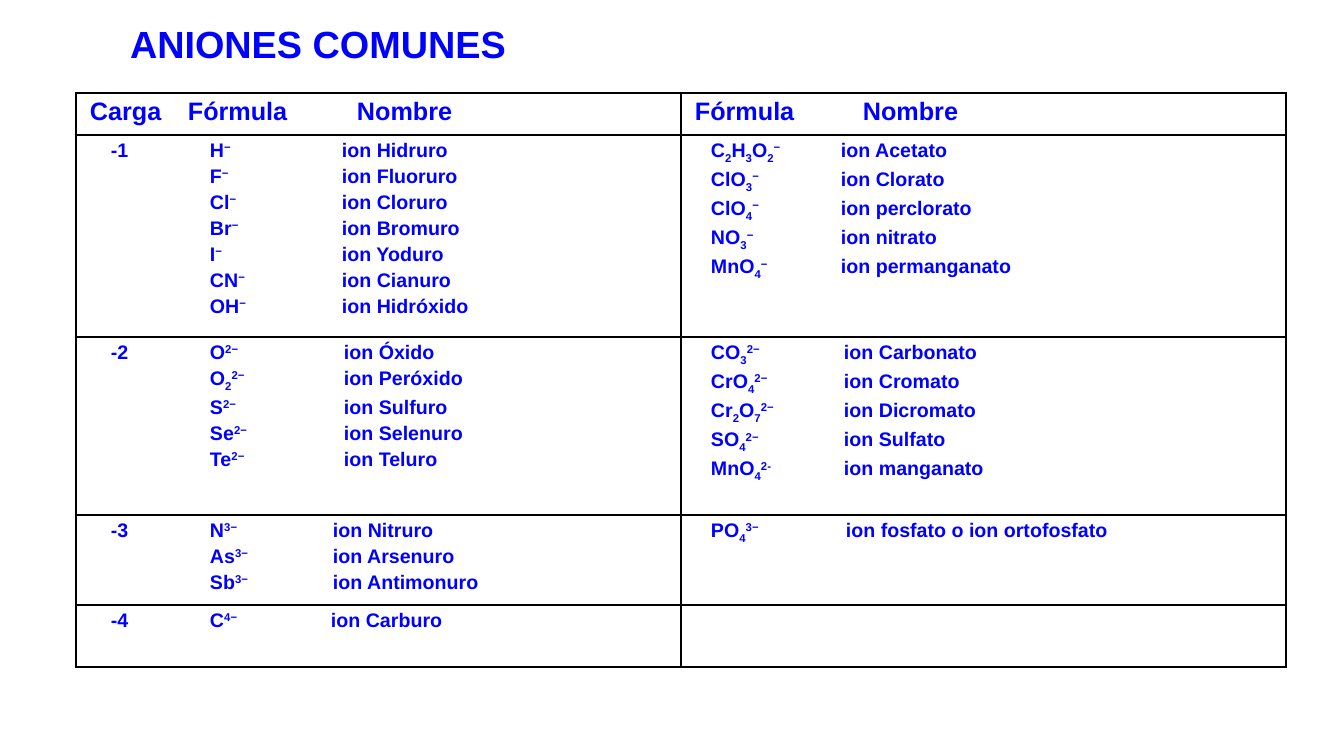
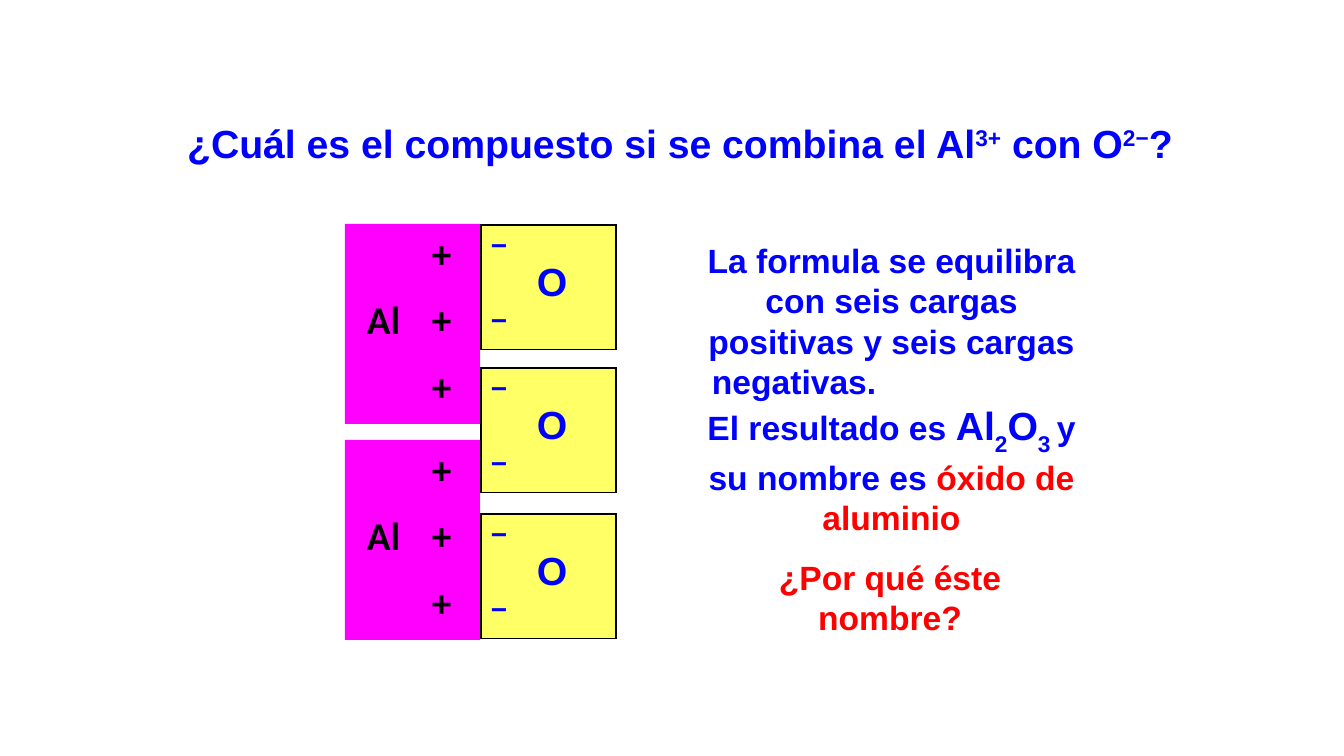
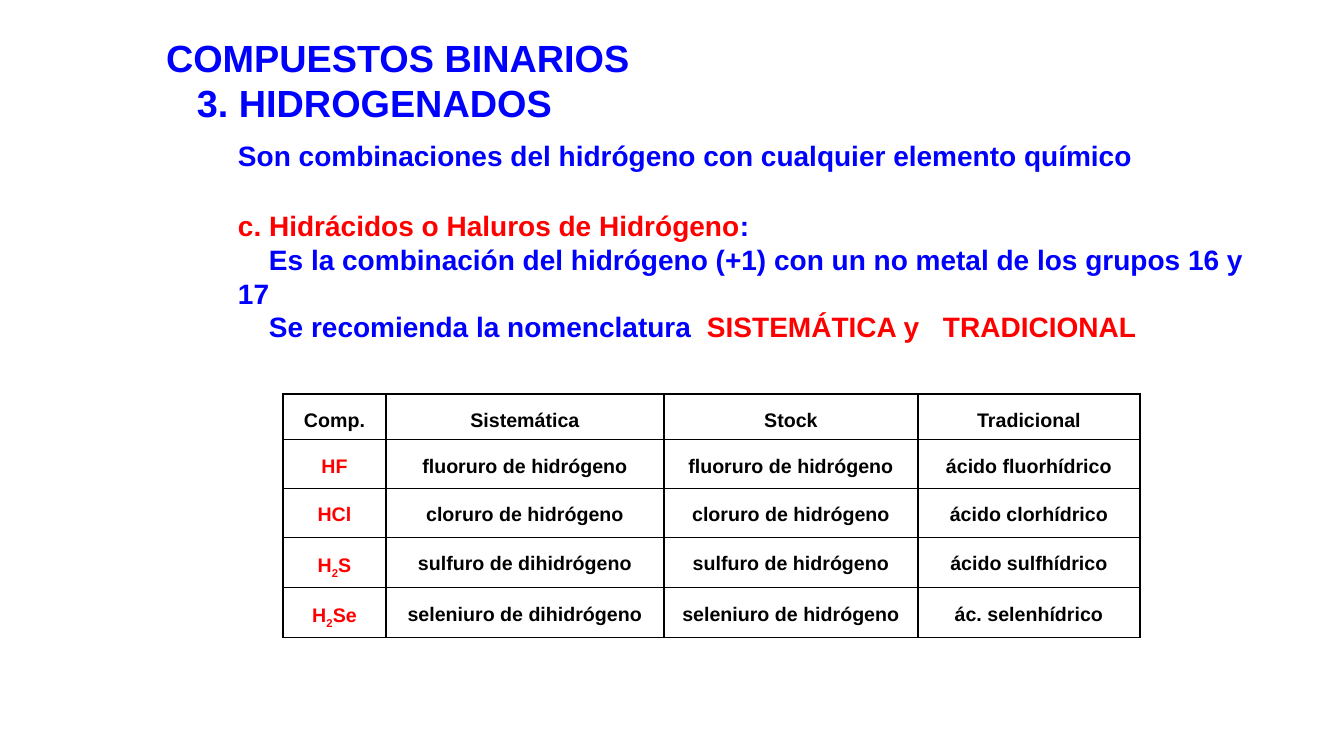
from dataclasses import dataclass

from lxml import etree
from pptx import Presentation
from pptx.dml.color import RGBColor
from pptx.enum.shapes import MSO_SHAPE
from pptx.enum.text import MSO_ANCHOR, PP_ALIGN
from pptx.oxml.ns import qn
from pptx.util import Emu, Pt

RECTANGLE = MSO_SHAPE.RECTANGLE
LEFT, CENTER = PP_ALIGN.LEFT, PP_ALIGN.CENTER
TOP, MIDDLE = MSO_ANCHOR.TOP, MSO_ANCHOR.MIDDLE

EMU_PER_PX = 914400 / 100.8
BLUE, RED, BLACK, WHITE = "0000FF", "FF0000", "000000", "FFFFFF"
MAGENTA, YELLOW = "FF00FF", "FFFF66"
TITLE_SIZE = 27
THIN, THICK = 1, 2.25


@dataclass(frozen=True)
class Run:
    """Text where |_x| is lowered and |^x| is raised."""
    text: str
    size: float = 14
    color: str = BLUE
    font: str = "Arial"
    lowered: int = -25


@dataclass(frozen=True)
class Line:
    """One paragraph; tabs, margin and indent are in px."""
    runs: tuple[Run, ...]
    align: PP_ALIGN = LEFT
    tabs: tuple[int, ...] = ()
    margin: int = 0
    indent: int = 0
    before: float = 0
    spacing: float = 1


@dataclass(frozen=True)
class Box:
    left: int
    top: int
    width: int
    height: int


@dataclass(frozen=True)
class IonGroup:
    """A table row: ions with few atoms left, polyatomic ions right."""
    charge: str
    height: int
    name_tabs: tuple[int, int]
    left: tuple[tuple[str, str], ...]
    right: tuple[tuple[str, str], ...] = ()


# Shared helpers
def px(value: float) -> Emu:
    return Emu(round(value * EMU_PER_PX))


def rgb(value: str) -> RGBColor:
    return RGBColor.from_string(value)


def add_runs(paragraph, run: Run) -> None:
    for piece in run.text.split("|"):
        if not piece:
            continue
        baseline = {"_": run.lowered, "^": 30}.get(piece[0], 0)
        part = paragraph.add_run()
        part.text = piece[1:] if baseline else piece
        part.font.name, part.font.size = run.font, Pt(run.size)
        part.font.bold = True
        part.font.color.rgb = rgb(run.color)
        if baseline:
            part._r.get_or_add_rPr().set("baseline", str(baseline * 1000))


def write(frame, lines: list[Line]) -> None:
    for index, line in enumerate(lines):
        paragraph = frame.add_paragraph() if index else frame.paragraphs[0]
        paragraph.alignment = line.align
        if line.spacing != 1:
            paragraph.line_spacing = line.spacing
        if index and line.before:
            paragraph.space_before = Pt(line.before)
        properties = paragraph._p.get_or_add_pPr()
        # An explicit indent, even zero, makes LibreOffice drop the tab stops
        for name, value in (("marL", line.margin), ("indent", line.indent)):
            if value:
                properties.set(name, str(px(value)))
        if line.tabs:
            tab_list = etree.SubElement(properties, qn("a:tabLst"))
            for tab in line.tabs:
                etree.SubElement(tab_list, qn("a:tab"), pos=str(px(tab)), algn="l")
        for run in line.runs:
            add_runs(paragraph, run)


def place(box: Box) -> tuple[Emu, Emu, Emu, Emu]:
    return px(box.left), px(box.top), px(box.width), px(box.height)


def add_text(slide, box: Box, lines: list[Line], anchor: MSO_ANCHOR = TOP,
             fill: str = "", right_inset: int = 10) -> None:
    if fill:
        shape = slide.shapes.add_shape(RECTANGLE, *place(box))
        shape.shadow.inherit = False
        shape.fill.solid()
        shape.fill.fore_color.rgb = rgb(fill)
        shape.line.fill.background()
    else:
        shape = slide.shapes.add_textbox(*place(box))
    frame = shape.text_frame
    frame.word_wrap = True
    frame.vertical_anchor = anchor
    frame.margin_left, frame.margin_right = px(10), px(right_inset)
    frame.margin_top = frame.margin_bottom = px(5)
    write(frame, lines)


def add_title(slide, box: Box, lines: list[Line]) -> None:
    add_text(slide, box, lines, MIDDLE)


def add_table(slide, left: int, top: int, columns: list[int], rows: list[int],
              cells: list[list[list[Line]]], fill: str = "",
              outer: float = THIN, inset: int = 10) -> None:
    box = Box(left, top, sum(columns), sum(rows))
    table = slide.shapes.add_table(len(rows), len(columns), *place(box)).table
    table.first_row = table.horz_banding = False
    for column, width in zip(table.columns, columns):
        column.width = px(width)
    for row, height in zip(table.rows, rows):
        row.height = px(height)
    for i, row_cells in enumerate(cells):
        for j, lines in enumerate(row_cells):
            cell = table.cell(i, j)
            cell.margin_left = cell.margin_right = px(inset)
            cell.margin_top = cell.margin_bottom = px(5)
            edges = {"L": j == 0, "R": j == len(columns) - 1,
                     "T": i == 0, "B": i == len(rows) - 1}
            for side, is_outer in edges.items():
                add_border(cell, side, outer if is_outer else THIN)
            if fill:
                cell.fill.solid()
                cell.fill.fore_color.rgb = rgb(fill)
            else:
                cell.fill.background()
            write(cell.text_frame, lines)


def add_border(cell, side: str, width: float) -> None:
    properties = cell._tc.get_or_add_tcPr()
    border = etree.SubElement(properties, qn(f"a:ln{side}"), w=str(Pt(width)))
    solid = etree.SubElement(border, qn("a:solidFill"))
    etree.SubElement(solid, qn("a:srgbClr"), val=BLACK)


# Slide 1: common anions
ION_GROUPS = [
    IonGroup("-1", 202, (252, 146),
             (("H|^−|", "Hidruro"), ("F|^−|", "Fluoruro"), ("Cl|^−|", "Cloruro"),
              ("Br|^−|", "Bromuro"), ("I|^−|", "Yoduro"), ("CN|^−|", "Cianuro"),
              ("OH|^−|", "Hidróxido")),
             (("C|_2|H|_3|O|_2|^−|", "Acetato"), ("ClO|_3|^−|", "Clorato"),
              ("ClO|_4|^−|", "perclorato"), ("NO|_3|^−|", "nitrato"),
              ("MnO|_4|^−|", "permanganato"))),
    IonGroup("-2", 178, (254, 149),
             (("O|^2−|", "Óxido"), ("O|_2|^2−|", "Peróxido"), ("S|^2−|", "Sulfuro"),
              ("Se|^2−|", "Selenuro"), ("Te|^2−|", "Teluro")),
             (("CO|_3|^2−|", "Carbonato"), ("CrO|_4|^2−|", "Cromato"),
              ("Cr|_2|O|_7|^2−|", "Dicromato"), ("SO|_4|^2−|", "Sulfato"),
              ("MnO|_4|^2-|", "manganato"))),
    IonGroup("-3", 90, (243, 151),
             (("N|^3−|", "Nitruro"), ("As|^3−|", "Arsenuro"),
              ("Sb|^3−|", "Antimonuro")),
             (("PO|_4|^3−|", "fosfato o ion ortofosfato"),)),
    IonGroup("-4", 62, (241, 151), (("C|^4−|", "Carburo"),)),
]


def ion_cells(group: IonGroup) -> list[list[Line]]:
    left_tab, right_tab = group.name_tabs
    left = [Line((Run(f"\t{'' if index else group.charge}\t{formula}\tion {name}"),),
                 tabs=(21, 120, left_tab), before=2.8)
            for index, (formula, name) in enumerate(group.left)]
    right = [Line((Run(f"\t{formula}\tion {name}"),), tabs=(16, right_tab), before=2.8)
             for formula, name in group.right]
    return [left, right]


def build_anions(slide) -> None:
    add_title(slide, Box(0, 13, 636, 61),
              [Line((Run("ANIONES COMUNES", TITLE_SIZE),), CENTER)])
    header = [[Line((Run("Carga\tFórmula\tNombre", 18),), tabs=(98, 267))],
              [Line((Run("Fórmula\tNombre", 18),), tabs=(168,))]]
    add_table(slide, 76, 93, [605, 605], [42] + [group.height for group in ION_GROUPS],
              [header] + [ion_cells(group) for group in ION_GROUPS],
              outer=THICK, inset=14)


# Slide 2: aluminium oxide
def build_oxide(slide) -> None:
    question = "¿Cuál es el compuesto si se combina el Al|^3+| con O|^2−|?"
    add_text(slide, Box(140, 114, 1080, 57), [Line((Run(question, 28),), CENTER)],
             fill=WHITE)

    balance = "La formula se equilibra con seis cargas positivas y seis cargas"
    result = (Run("El resultado es ", 24), Run("Al|_2|O|_3 |", 28, lowered=-30),
              Run("y su nombre es ", 24), Run("óxido de aluminio", 24, RED))
    add_text(slide, Box(683, 235, 417, 302),
             [Line((Run(balance, 24),), CENTER),
              Line((Run("negativas.", 24),), margin=19),
              Line(result, CENTER)], fill=WHITE)

    aluminium = [Line((Run(text, 28, BLACK, "Calibri"),), tabs=(12, 77), before=14)
                 for text in ("\t\t+", "\tAl\t+", "\t\t+")]
    for top in (224, 440):
        add_text(slide, Box(345, top, 135, 200), aluminium, fill=MAGENTA)

    oxygen = [Line((Run(text, size),), tabs=(46,))
              for text, size in (("−", 20), ("\tO", 28), ("−", 20))]
    for top in (225, 368, 514):
        add_table(slide, 481, top, [135], [124], [[oxygen]], YELLOW)

    add_text(slide, Box(767, 552, 246, 92),
             [Line((Run("¿Por qué éste nombre?", 24, RED),), CENTER)])


# Slide 3: hydrogen halides
COMPOUNDS = [
    ("Comp.", "Sistemática", "Stock", "Tradicional"),
    ("HF", "fluoruro de hidrógeno", "fluoruro de hidrógeno", "ácido fluorhídrico"),
    ("HCl", "cloruro de hidrógeno", "cloruro de hidrógeno", "ácido clorhídrico"),
    ("H|_2|S", "sulfuro de dihidrógeno", "sulfuro de hidrógeno", "ácido sulfhídrico"),
    ("H|_2|Se", "seleniuro de dihidrógeno", "seleniuro de hidrógeno",
     "ác. selenhídrico"),
]


def build_hydrides(slide) -> None:
    add_title(slide, Box(156, 29, 485, 102),
              [Line((Run("COMPUESTOS BINARIOS", TITLE_SIZE),)),
               Line((Run("3. HIDROGENADOS", TITLE_SIZE),), indent=31)])
    summary = "Son combinaciones del hidrógeno con cualquier elemento químico"
    add_text(slide, Box(228, 133, 915, 44), [Line((Run(summary, 20),))])

    definition = ("Es la combinación del hidrógeno (+1) con un no metal "
                  "de los grupos 16 y 17")
    add_text(slide, Box(228, 204, 1072, 146), [
        Line((Run("c. Hidrácidos o Haluros de Hidrógeno", 20, RED), Run(":", 20))),
        Line((Run(definition, 20),), indent=31),
        Line((Run("\tSe recomienda la nomenclatura", 20),
              Run("\tSISTEMÁTICA y\tTRADICIONAL", 20, RED)),
             tabs=(31, 469, 705)),
    ], right_inset=30)

    cells = [[[Line((Run(text, color=RED if i and not j else BLACK),), CENTER,
                    spacing=1.5)] for j, text in enumerate(row)]
             for i, row in enumerate(COMPOUNDS)]
    add_table(slide, 283, 394, [103, 278, 254, 222], [45, 49, 49, 50, 50],
              cells, WHITE)


def main() -> None:
    presentation = Presentation()
    presentation.slide_width, presentation.slide_height = px(1344), px(756)
    blank_layout = presentation.slide_layouts[6]
    for build in (build_anions, build_oxide, build_hydrides):
        build(presentation.slides.add_slide(blank_layout))
    presentation.save("out.pptx")


if __name__ == "__main__":
    main()
